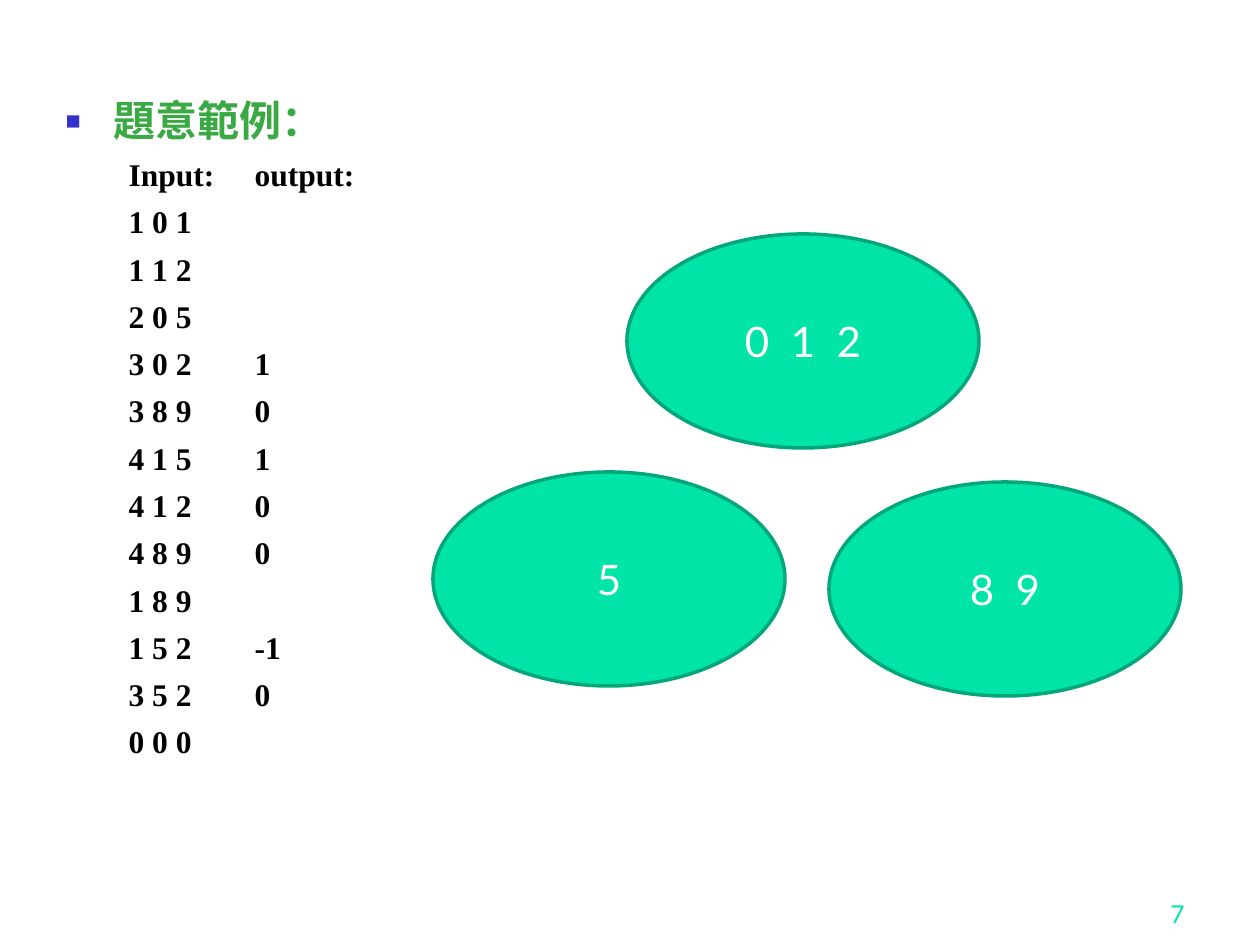
from lxml import etree
from pptx import Presentation
from pptx.dml.color import RGBColor
from pptx.enum.shapes import MSO_SHAPE
from pptx.enum.text import MSO_ANCHOR, MSO_AUTO_SIZE, PP_ALIGN
from pptx.oxml.ns import qn
from pptx.util import Emu, Pt

OVAL = MSO_SHAPE.OVAL
MIDDLE, BOTTOM = MSO_ANCHOR.MIDDLE, MSO_ANCHOR.BOTTOM
CENTER, RIGHT = PP_ALIGN.CENTER, PP_ALIGN.RIGHT
NO_FIT = MSO_AUTO_SIZE.NONE

MINT = RGBColor(0x00, 0xE4, 0xA8)
TEAL = RGBColor(0x00, 0xA7, 0x7A)
GREEN = RGBColor(0x3B, 0xA9, 0x43)
BLUE = RGBColor(0x33, 0x33, 0xCC)
BLACK = RGBColor(0, 0, 0)
WHITE = RGBColor(0xFF, 0xFF, 0xFF)

PX_PER_INCH = 126
HEADING = dict(name="Times New Roman", size=Pt(24), bold=True, color=GREEN)
ROW = dict(HEADING, size=Pt(18), color=BLACK)
SET_LABEL = dict(name="Lato", size=Pt(24), color=WHITE)
NUMBER = dict(name="Lato", size=Pt(14), color=MINT)

ROWS = ["Input:\toutput:", "1 0 1", "1 1 2", "2 0 5", "3 0 2\t1", "3 8 9\t0",
        "4 1 5\t1", "4 1 2\t0", "4 8 9\t0", "1 8 9", "1 5 2\t-1", "3 5 2\t0",
        "0 0 0"]
SETS = [("0  1  2", 627, 234), ("5", 433, 472), ("8  9", 829, 482)]


def px(n):
    return Emu(round(n * 914400 / PX_PER_INCH))


def add_element(parent, tag, **attrs):
    el = etree.SubElement(parent, qn(tag))
    for key, value in attrs.items():
        el.set(key, str(value))
    return el


class Deck:
    """Build slides in one style, with lengths in px."""

    def __init__(self, width, height):
        self.prs = Presentation()
        self.prs.slide_width, self.prs.slide_height = px(width), px(height)
        self.s = None

    def add_slide(self):
        self.s = self.prs.slides.add_slide(self.prs.slide_layouts[1])
        title = self.s.shapes.title.element
        title.getparent().remove(title)

    def add_text(self, p, text, style):
        r = p.add_run()
        r.text = text
        for key, value in style.items():
            if key == "color":
                r.font.color.rgb = value
            else:
                setattr(r.font, key, value)

    def example(self, x, y, w, h, heading, rows):
        sp = self.s.placeholders[1]
        sp.left, sp.top, sp.width, sp.height = map(px, (x, y, w, h))
        tf = sp.text_frame
        tf.auto_size = NO_FIT
        p = tf.paragraphs[0]
        p.line_spacing, p.space_before = 0.9, Pt(0)
        ppr = p._p.get_or_add_pPr()
        ppr.set("marL", str(px(48)))
        ppr.set("indent", str(-px(48)))
        add_element(add_element(ppr, "a:buClr"), "a:srgbClr", val=BLUE)
        add_element(ppr, "a:buSzPct", val=60000)
        add_element(ppr, "a:buChar", char="■")
        self.add_text(p, heading, HEADING)
        for text in rows:
            p = tf.add_paragraph()
            p.level, p.space_before = 1, Pt(5.4)
            ppr = p._p.get_or_add_pPr()
            ppr.set("marL", str(px(63)))
            ppr.set("indent", "0")
            add_element(ppr, "a:buNone")
            tabs = add_element(ppr, "a:tabLst")
            add_element(tabs, "a:tab", pos=px(PX_PER_INCH), algn="l")
            self.add_text(p, text, ROW)

    def label(self, sp, text, style, anchor, align):
        tf = sp.text_frame
        tf.word_wrap, tf.vertical_anchor = True, anchor
        tf.paragraphs[0].alignment = align
        self.add_text(tf.paragraphs[0], text, style)

    def ellipse(self, x, y, w, h, text):
        sp = self.s.shapes.add_shape(OVAL, *map(px, (x, y, w, h)))
        sp.shadow.inherit = False
        sp.fill.solid()
        sp.fill.fore_color.rgb = MINT
        sp.line.color.rgb, sp.line.width = TEAL, Pt(2)
        self.label(sp, text, SET_LABEL, MIDDLE, CENTER)

    def page_number(self, x, y, w, h, text):
        sp = self.s.shapes.add_textbox(*map(px, (x, y, w, h)))
        self.label(sp, text, NUMBER, BOTTOM, RIGHT)


def main():
    deck = Deck(1260, 945)
    deck.add_slide()
    deck.example(53, 94, 1113, 775, "題意範例：", ROWS)
    for text, x, y in SETS:
        deck.ellipse(x, y, 352, 214, text)
    deck.page_number(935, 872, 262, 63, "7")
    deck.prs.save("out.pptx")


if __name__ == "__main__":
    main()
